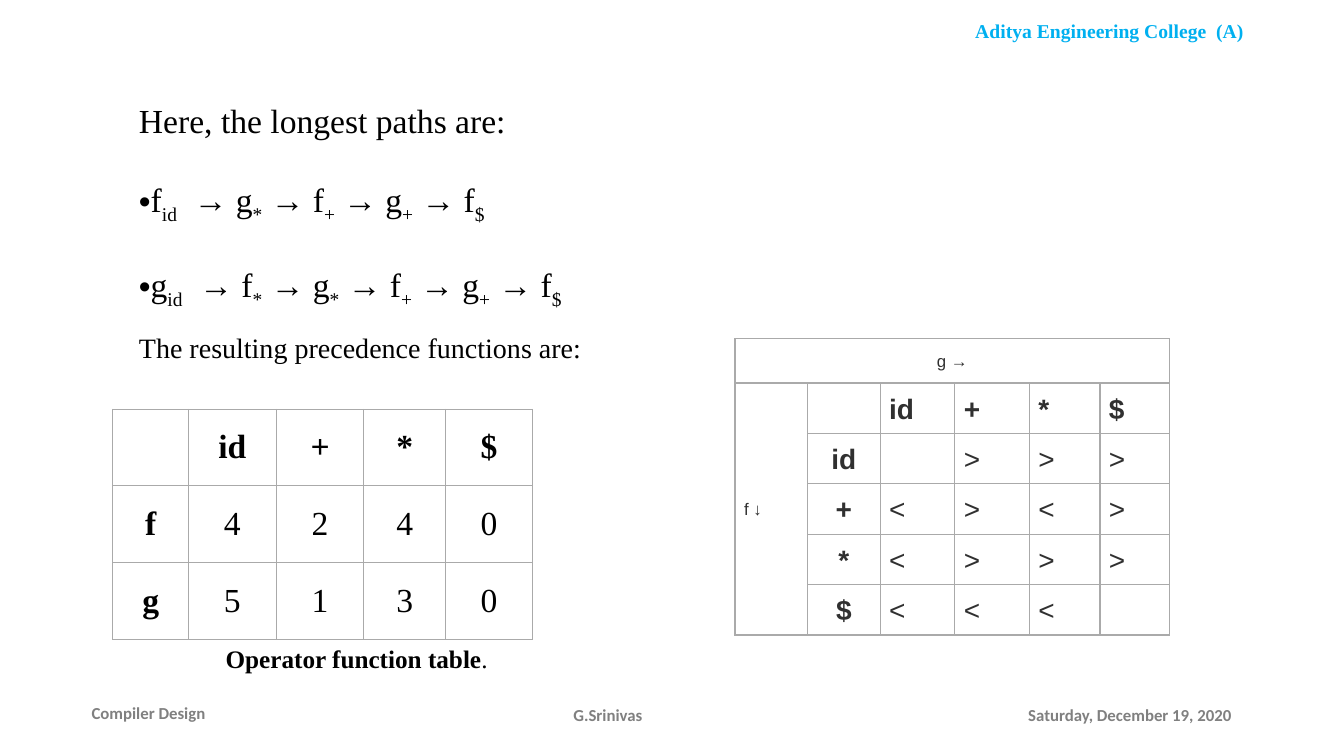
from lxml.etree import SubElement
from pptx import Presentation
from pptx.dml.color import RGBColor
from pptx.enum.text import MSO_ANCHOR, PP_ALIGN
from pptx.oxml import parse_xml
from pptx.oxml.ns import nsdecls, qn
from pptx.util import Inches, Pt

SERIF = "Times New Roman"
BLACK = "000000"
GRAY = "808080"
DARK = "303030"
BORDER = "AAAAAA"
NBSP = chr(160)


def color(value):
    return RGBColor.from_string(value)


def format_font(font, name, size, value, bold=False):
    font.name = name
    font.size = Pt(size)
    font.bold = bold
    font.color.rgb = color(value)


def add_text(slide, position, text, name, size, value, bold=False,
             align=PP_ALIGN.LEFT, anchor=MSO_ANCHOR.TOP, wrap=True):
    shape = slide.shapes.add_textbox(*map(Inches, position))
    frame = shape.text_frame
    frame.text = text
    frame.word_wrap = wrap
    frame.vertical_anchor = anchor
    paragraph = frame.paragraphs[0]
    paragraph.alignment = align
    format_font(paragraph.runs[0].font, name, size, value, bold)
    return frame


def add_path(frame, nodes):
    paragraph = frame.add_paragraph()
    paragraph.space_before = Pt(28)
    properties = paragraph._p.get_or_add_pPr()
    properties.set("marL", "0")
    properties.set("indent", "0")
    SubElement(properties, qn("a:buFont")).set("typeface", "Arial")
    SubElement(properties, qn("a:buChar")).set("char", "•")
    arrows = ["", NBSP * 2 + "→ "] + [NBSP + "→ "] * (len(nodes) - 2)
    for arrow, (function, symbol) in zip(arrows, nodes):
        for text, baseline in ((arrow + function, "0"), (symbol, "-25000")):
            run = paragraph.add_run()
            run.text = text
            format_font(run.font, SERIF, 24, BLACK)
            run._r.get_or_add_rPr().set("baseline", baseline)


def add_grid(slide, left, top, widths, heights, rows, margins, border_width):
    frame = slide.shapes.add_table(
        len(heights), len(widths), Inches(left), Inches(top),
        Inches(sum(widths)), Inches(sum(heights)))
    table = frame.table
    table.first_row = False
    table.horz_banding = False
    for column, width in zip(table.columns, widths):
        column.width = Inches(width)
    for row, height in zip(table.rows, heights):
        row.height = Inches(height)
    for row_index, row in enumerate(rows):
        for column_index, text in enumerate(row):
            cell = table.cell(row_index, column_index)
            format_cell(cell, margins, border_width)
            if text:
                cell.text_frame.text = text
    return table


def format_cell(cell, margins, border_width):
    cell.fill.solid()
    cell.fill.fore_color.rgb = color("FFFFFF")
    cell.vertical_anchor = MSO_ANCHOR.MIDDLE
    cell.margin_left = cell.margin_right = Inches(margins[0])
    cell.margin_top = cell.margin_bottom = Inches(margins[1])
    properties = cell._tc.get_or_add_tcPr()
    for index, side in enumerate(("lnL", "lnR", "lnT", "lnB")):
        properties.insert(index, parse_xml(
            f'<a:{side} {nsdecls("a")} w="{Pt(border_width)}"><a:solidFill>'
            f'<a:srgbClr val="{BORDER}"/></a:solidFill></a:{side}>'))


def add_function_table(slide):
    rows = [["", "id", "+", "*", "$"],
            ["f", "4", "2", "4", "0"],
            ["g", "5", "1", "3", "0"]]
    table = add_grid(slide, 1.12, 4.06, [0.75, 0.87, 0.87, 0.81, 0.86],
                     [0.76] * 3, rows, (0.1, 0.08), 0.75)
    for cell in table.iter_cells():
        paragraph = cell.text_frame.paragraphs[0]
        paragraph.alignment = PP_ALIGN.CENTER
        for run in paragraph.runs:
            format_font(run.font, SERIF, 24, BLACK, not run.text.isdigit())


def add_precedence_table(slide):
    rows = [["g" + NBSP + "→", "", "", "", "", ""],
            ["f ↓", "", "id", "+", "*", "$"],
            ["", "id", "", ">", ">", ">"],
            ["", "+", "<", ">", "<", ">"],
            ["", "*", "<", ">", ">", ">"],
            ["", "$", "<", "<", "<", ""]]
    table = add_grid(slide, 7.29, 3.36, [0.72, 0.72, 0.74, 0.74, 0.7, 0.69],
                     [0.44] + [0.5] * 5, rows, (0.09, 0.07), 1)
    table.cell(0, 0).merge(table.cell(0, 5))
    table.cell(1, 0).merge(table.cell(5, 0))
    for row_index, row in enumerate(rows):
        for column_index, text in enumerate(row):
            if not text:
                continue
            is_axis = row_index == 0 or column_index == 0
            is_centered = row_index == 0 or column_index == 1
            paragraph = table.cell(row_index, column_index).text_frame.paragraphs[0]
            paragraph.alignment = PP_ALIGN.CENTER if is_centered else PP_ALIGN.LEFT
            paragraph.line_spacing = 1.07
            paragraph.space_after = Pt(6.2)
            paragraph.space_before = Pt(0)
            format_font(paragraph.runs[0].font, "Arial", 12 if is_axis else 20,
                        DARK, not is_axis and text not in "<>")
            if not is_axis:
                paragraph.space_after = Pt(0)


def main():
    presentation = Presentation()
    presentation.slide_width = Inches(13.33)
    presentation.slide_height = Inches(7.5)
    slide = presentation.slides.add_slide(presentation.slide_layouts[6])

    add_text(slide, (9.09, 0.14, 3.83, 0.34), "Aditya Engineering College  (A)",
             SERIF, 14, "00B0F0", True, PP_ALIGN.CENTER)
    add_text(slide, (10.1, 6.94, 2.3, 0.4), "Saturday, December 19, 2020",
             "Calibri", 12, GRAY, True)
    add_text(slide, (4.53, 6.94, 3, 0.4), "G.Srinivas",
             "Calibri", 12, GRAY, True, PP_ALIGN.CENTER)
    add_text(slide, (0.81, 6.87, 2.11, 0.4), "Compiler Design",
             "Calibri", 12, GRAY, True, PP_ALIGN.JUSTIFY, MSO_ANCHOR.MIDDLE)

    paths = add_text(slide, (1.28, 0.94, 5.55, 1.99),
                     "Here, the longest paths are:", SERIF, 24, BLACK)
    shared_end = [("f", "+"), ("g", "+"), ("f", "$")]
    add_path(paths, [("f", "id"), ("g", "*")] + shared_end)
    add_path(paths, [("g", "id"), ("f", "*"), ("g", "*")] + shared_end)

    add_function_table(slide)
    add_text(slide, (1.28, 3.23, 4.84, 1.38),
             "The resulting precedence functions are:", SERIF, 20, BLACK)
    caption = add_text(slide, (2.14, 6.33, 2.83, 0.4), "Operator function table",
                       SERIF, 18, BLACK, True, wrap=False)
    period = caption.paragraphs[0].add_run()
    period.text = "."
    format_font(period.font, SERIF, 18, BLACK)
    add_precedence_table(slide)

    presentation.save("out.pptx")


if __name__ == "__main__":
    main()
